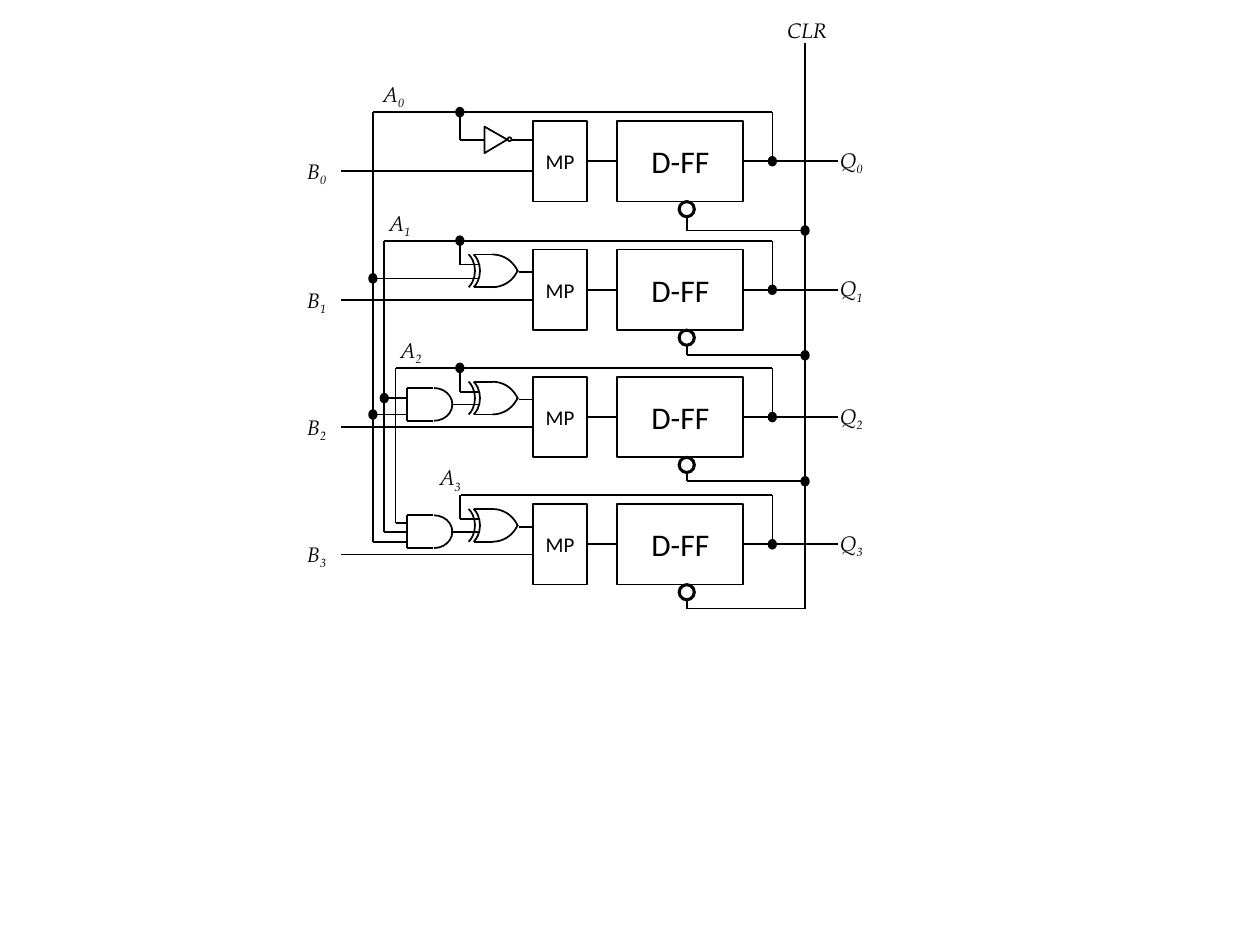
from pptx import Presentation
from pptx.dml.color import RGBColor
from pptx.enum.shapes import MSO_CONNECTOR, MSO_SHAPE
from pptx.enum.text import MSO_ANCHOR, MSO_AUTO_SIZE, PP_ALIGN
from pptx.oxml.ns import qn
from pptx.util import Inches, Pt
from lxml import etree

RECT, OVAL, ARC = MSO_SHAPE.RECTANGLE, MSO_SHAPE.OVAL, MSO_SHAPE.ARC
TRI = MSO_SHAPE.ISOSCELES_TRIANGLE
LINE = MSO_CONNECTOR.STRAIGHT
MID, CENTER = MSO_ANCHOR.MIDDLE, PP_ALIGN.CENTER
FIT = MSO_AUTO_SIZE.SHAPE_TO_FIT_TEXT

theme = {
    "ink": RGBColor(0, 0, 0),
    "paper": RGBColor(255, 255, 255),
    "sans": "Calibri",
    "serif": "TeX Gyre Pagella",
    "big": Pt(18),
    "small": Pt(12),
    "thin": Pt(1),
    "bold": Pt(1.75),
}

deck = Presentation()
deck.slide_width, deck.slide_height = Inches(10), Inches(7.5)
slide = deck.slides.add_slide(deck.slide_layouts[6])


def wire(host, *points):
    for (x1, y1), (x2, y2) in zip(points, points[1:]):
        line = host.add_connector(LINE, Inches(x1), Inches(y1), Inches(x2), Inches(y2))
        line.line.color.rgb = theme["ink"]
        line.line.width = theme["thin"]
        etree.SubElement(line._element.spPr, qn("a:effectLst"))


def draw(host, kind, x, y, w, h, fill=None, turns=(), width="thin"):
    shape = host.add_shape(kind, Inches(x), Inches(y), Inches(w), Inches(h))
    shape.shadow.inherit = False
    if fill:
        shape.fill.solid()
        shape.fill.fore_color.rgb = theme[fill]
    else:
        shape.fill.background()
    shape.line.color.rgb = theme["ink"]
    shape.line.width = theme[width]
    for i, turn in enumerate(turns):
        shape.adjustments[i] = turn
    return shape


page = slide.shapes
tops = [0.96, 1.98, 2.99, 4]
clears = [1.83, 2.82, 3.82, 4.83]
buses = [2.96, 3.05, 3.14, 3.66]
names = [2.94, 2.99, 3.08, 3.39]
clock, back, tap = 6.39, 6.13, 3.65
labels = [("CLR", "", 6.15, 0.09, 0.55)]
dots = [(2.96, 2.21), (2.96, 3.29), (3.05, 3.16)]

for n, (top, clear, bus, name) in enumerate(zip(tops, clears, buses, names)):
    out, loop = top + 0.32, top - 0.07
    for word, size, x, w in (("D-FF", "big", 4.9, 1), ("MP", "small", 4.23, 0.43)):
        box = draw(page, RECT, x, top, w, 0.64, "paper")
        frame = box.text_frame
        frame.margin_left = frame.margin_right = 0
        frame.vertical_anchor = MID
        frame.word_wrap = False
        para = frame.paragraphs[0]
        para.text = word
        para.alignment = CENTER
        para.font.name = theme["sans"]
        para.font.size = theme[size]
        para.font.color.rgb = theme["ink"]
    draw(page, OVAL, 5.39, top + 0.64, 0.12, 0.12, width="bold")
    wire(page, (5.45, top + 0.76), (5.45, clear), (clock, clear))
    wire(page, (5.9, out), (6.65, out))
    wire(page, (4.9, out), (4.67, out))
    wire(page, (2.71, top + 0.4), (4.23, top + 0.4))
    wire(page, (back, out), (back, loop), (bus, loop))
    dots.append((back, out))
    if n < 3:
        dots += [(clock, clear), (tap, loop)]
    labels += [
        ("Q", str(n), 6.57, top + 0.16, 0.39),
        ("B", str(n), 2.34, top + 0.25, 0.36),
        ("A", str(n), name, top - 0.36, 0.38),
    ]
    if n == 0:
        continue
    gate = page.add_group_shape().shapes
    for y in (top + 0.04, top + 0.3):
        wire(gate, (3.76, y), (3.91, y))
    for x in (3.53, 3.49):
        draw(gate, ARC, x, top, 0.28, 0.34, turns=(182.63, 33.24))
    draw(gate, ARC, 3.69, top + 0.04, 0.44, 0.46, turns=(162, 201.2))
    draw(gate, ARC, 3.69, top - 0.16, 0.44, 0.46, turns=(15.26, 54))
    wire(page, (4.12, top + 0.18), (4.23, top + 0.18))
    wire(page, (tap, loop), (tap, top + 0.12), (3.8, top + 0.12))
    if n == 1:
        continue
    gate = page.add_group_shape().shapes
    draw(gate, ARC, 3.3, top + 0.09, 0.29, 0.26, turns=(162, 54.4))
    high, low = top + 0.09, top + 0.35
    wire(gate, (3.44, high), (3.23, high), (3.23, low), (3.44, low))
    wire(page, (3.58, top + 0.22), (3.81, top + 0.22))

wire(page, (clock, 0.34), (clock, clears[-1]))
for bus, top, end in zip(buses, tops, (4.3, 4.22, 4.15)):
    wire(page, (bus, top - 0.07), (bus, end), (3.23, end))
wire(page, (2.96, 2.21), (3.8, 2.21))
wire(page, (2.96, 3.29), (3.23, 3.29))
wire(page, (3.05, 3.16), (3.23, 3.16))

wire(page, (tap, 0.89), (tap, 1.11), (3.84, 1.11))
gate = page.add_group_shape().shapes
draw(gate, TRI, 3.83, 1.02, 0.21, 0.18, turns=(0.49,)).rotation = 90
draw(gate, OVAL, 4.03, 1.09, 0.03, 0.03)
wire(page, (4.06, 1.11), (4.23, 1.11))

for x, y in dots:
    draw(page, OVAL, x - 0.03, y - 0.035, 0.06, 0.07, "ink")

for word, sub, x, y, w in labels:
    frame = page.add_textbox(Inches(x), Inches(y), Inches(w), Inches(0.3)).text_frame
    frame.word_wrap = False
    frame.auto_size = FIT
    para = frame.paragraphs[0]
    para.font.name = theme["serif"]
    para.font.size = theme["small"]
    para.font.italic = True
    para.font.color.rgb = theme["ink"]
    para.add_run().text = word
    if sub:
        run = para.add_run()
        run.text = sub
        run.font._element.set("baseline", "-25000")

deck.save("out.pptx")
